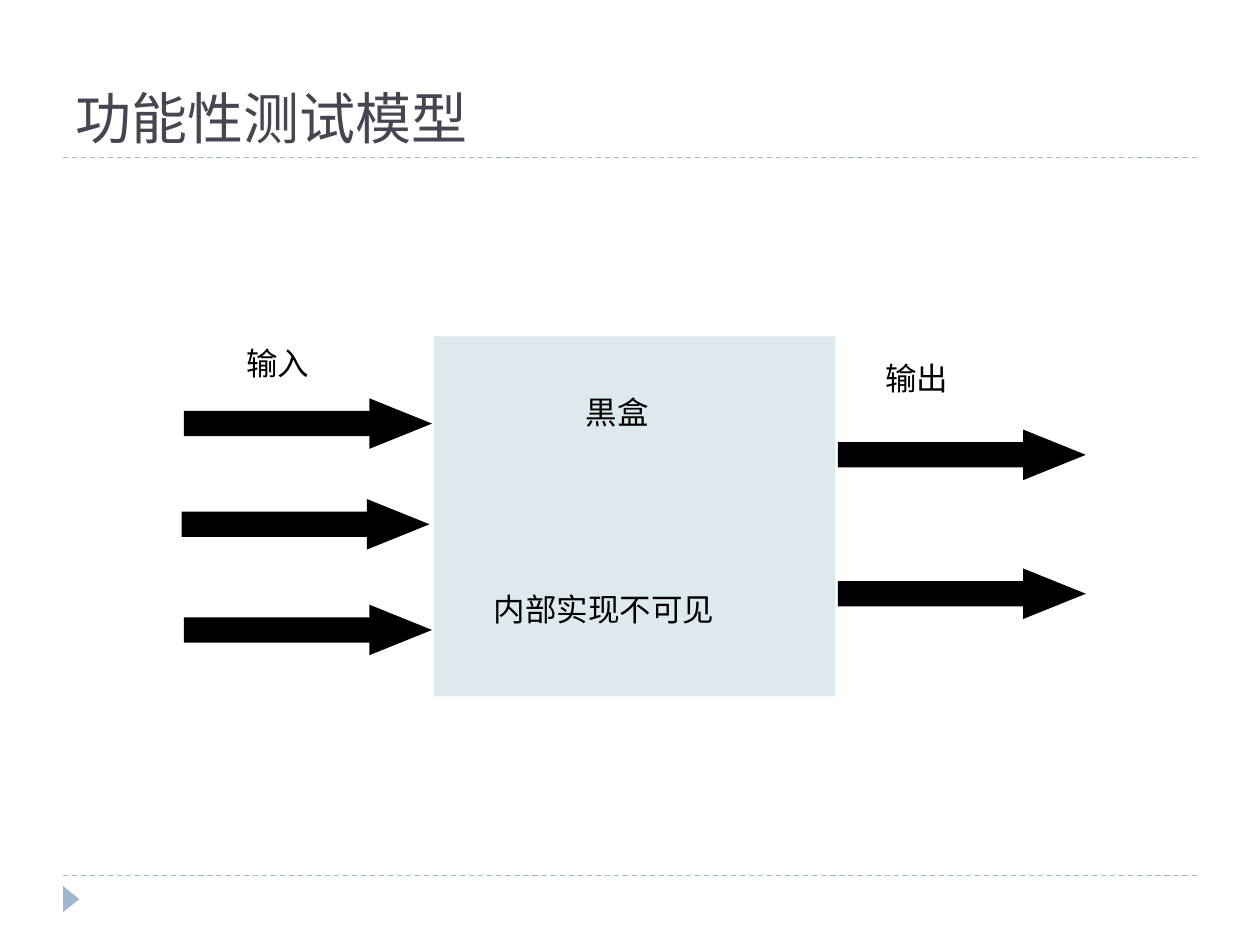
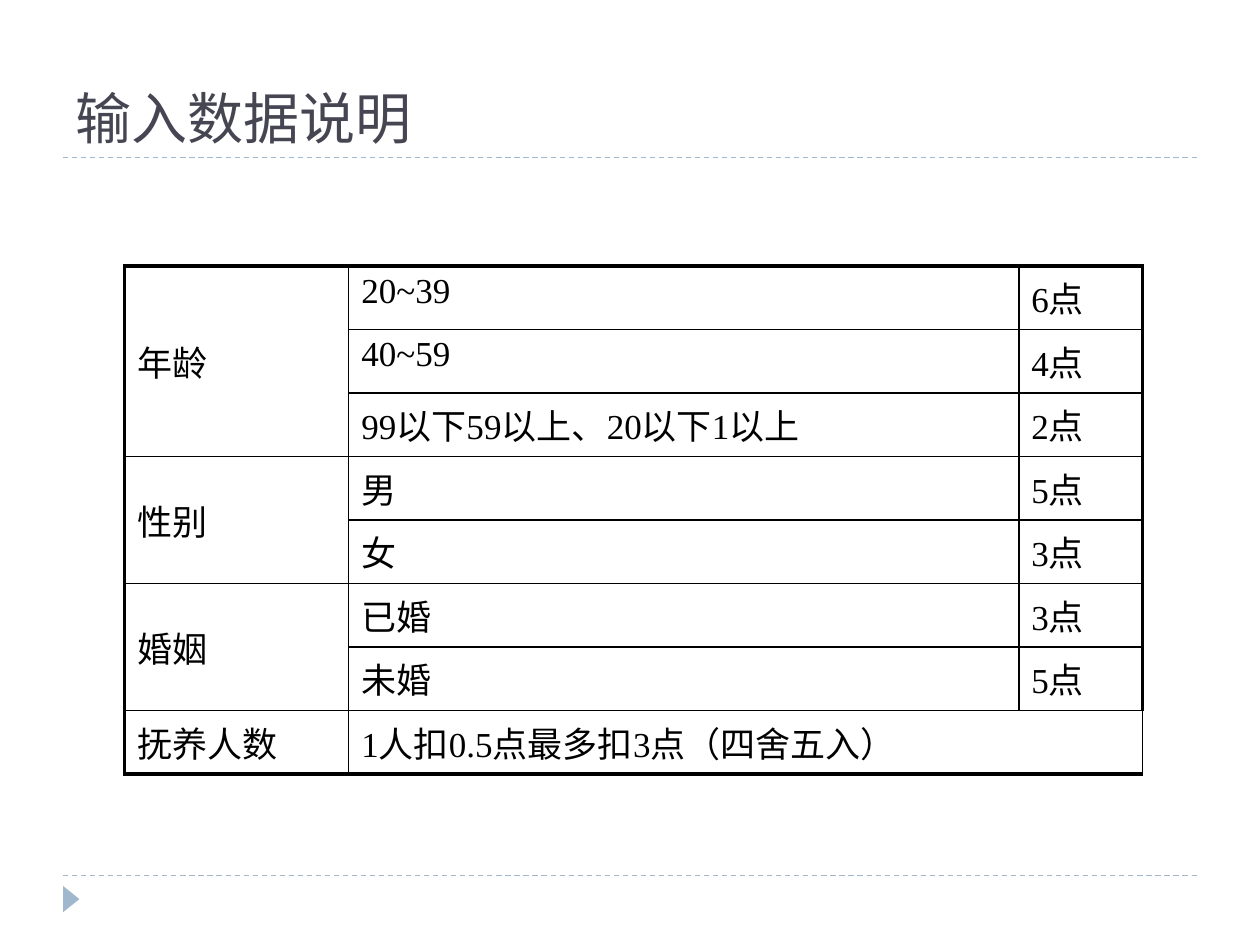
from dataclasses import dataclass
from typing import NamedTuple

from lxml import etree
from pptx import Presentation
from pptx.dml.color import RGBColor
from pptx.enum.dml import MSO_LINE
from pptx.enum.shapes import MSO_CONNECTOR, MSO_SHAPE
from pptx.enum.text import MSO_ANCHOR, PP_ALIGN
from pptx.oxml.ns import qn
from pptx.shapes.autoshape import Shape
from pptx.slide import Slide
from pptx.table import _Cell
from pptx.text.text import TextFrame
from pptx.util import Cm, Pt

RECTANGLE = MSO_SHAPE.RECTANGLE
TRIANGLE = MSO_SHAPE.ISOSCELES_TRIANGLE
RIGHT_ARROW = MSO_SHAPE.RIGHT_ARROW
STRAIGHT = MSO_CONNECTOR.STRAIGHT
DASH = MSO_LINE.DASH
TOP, MIDDLE, BOTTOM = MSO_ANCHOR.TOP, MSO_ANCHOR.MIDDLE, MSO_ANCHOR.BOTTOM
LEFT, JUSTIFY = PP_ALIGN.LEFT, PP_ALIGN.JUSTIFY


class TextStyle(NamedTuple):
    font: str
    size: float
    color: str


@dataclass(frozen=True)
class Theme:
    accent: str = "9FB8CD"
    box: str = "DDE9EC"
    ink: str = "000000"
    title: TextStyle = TextStyle("TeX Gyre Bonum", 32, "464653")
    label: TextStyle = TextStyle("Cabin", 18, "000000")
    cell: TextStyle = TextStyle("Times New Roman", 20, "000000")
    rule_width: float = 0.75
    inner_border: float = 1
    outer_border: float = 2.25


THEME = Theme()


class Frame(NamedTuple):
    """Left, top, width and height in centimetres."""
    left: float
    top: float
    width: float
    height: float

    def lengths(self) -> list[Cm]:
        return [Cm(value) for value in self]


class Label(NamedTuple):
    text: str
    left: float
    top: float
    width: float = 2.39


class Arrow(NamedTuple):
    left: float
    top: float


class Section(NamedTuple):
    """An input field and its (condition, points) rows."""
    name: str
    rules: list[tuple[str, str]]


RULE_LEFT, RULE_RIGHT = 1.27, 24.13
RULE_TOPS = (3.18, 17.65)
FOOTER_MARK = Frame(1.17, 17.96, 0.53, 0.33)
TITLE_FRAME = Frame(1.27, 0.43, 22.86, 2.74)

BLACK_BOX = Frame(8.74, 6.78, 8.1, 7.26)
ARROW_WIDTH, ARROW_HEIGHT, LABEL_HEIGHT = 5, 1.02, 1.27
INPUT_ARROWS = [Arrow(3.71, 8.03), Arrow(3.66, 10.06), Arrow(3.71, 12.19)]
OUTPUT_ARROWS = [Arrow(16.89, 8.66), Arrow(16.89, 11.46)]
MODEL_LABELS = [
    Label("输入", 4.72, 6.81),
    Label("输出", 17.6, 7.11),
    Label("黒盒", 11.56, 7.8),
    Label("内部实现不可见", 9.7, 11.76, 6.45),
]

TABLE_LEFT, TABLE_TOP, ROW_HEIGHT = 2.51, 5.36, 1.28
COLUMN_WIDTHS = (4.52, 13.51, 2.49)
SECTIONS = [
    Section("年龄", [("20~39", "6点"), ("40~59", "4点"),
                   ("99以下59以上、20以下1以上", "2点")]),
    Section("性别", [("男", "5点"), ("女", "3点")]),
    Section("婚姻", [("已婚", "3点"), ("未婚", "5点")]),
    Section("抚养人数", [("1人扣0.5点最多扣3点（四舍五入）", "")]),
]


def write_text(text_frame: TextFrame, text: str, style: TextStyle,
               alignment: PP_ALIGN = LEFT) -> None:
    text_frame.text = text
    text_frame.word_wrap = True
    paragraph = text_frame.paragraphs[0]
    paragraph.alignment = alignment
    for run in paragraph.runs:
        run.font.name = style.font
        run.font.size = Pt(style.size)
        run.font.color.rgb = RGBColor.from_string(style.color)


def add_text(slide: Slide, frame: Frame, text: str, style: TextStyle,
             alignment: PP_ALIGN = LEFT, anchor: MSO_ANCHOR = TOP) -> None:
    text_box = slide.shapes.add_textbox(*frame.lengths())
    text_box.text_frame.vertical_anchor = anchor
    write_text(text_box.text_frame, text, style, alignment)


def add_filled(slide: Slide, kind: MSO_SHAPE, frame: Frame, color: str) -> Shape:
    shape = slide.shapes.add_shape(kind, *frame.lengths())
    shape.shadow.inherit = False
    shape.fill.solid()
    shape.fill.fore_color.rgb = RGBColor.from_string(color)
    shape.line.fill.background()
    return shape


def add_rule(slide: Slide, top: float) -> None:
    rule = slide.shapes.add_connector(
        STRAIGHT, Cm(RULE_LEFT), Cm(top), Cm(RULE_RIGHT), Cm(top))
    rule.line.color.rgb = RGBColor.from_string(THEME.accent)
    rule.line.width = Pt(THEME.rule_width)
    rule.line.dash_style = DASH
    etree.SubElement(rule._element.spPr, qn("a:effectLst"))


def add_titled_slide(presentation: Presentation, title: str) -> Slide:
    """Add a slide with the shared rules, footer mark and title."""
    slide = presentation.slides.add_slide(presentation.slide_layouts[6])
    for top in RULE_TOPS:
        add_rule(slide, top)
    add_filled(slide, TRIANGLE, FOOTER_MARK, THEME.accent).rotation = 90
    add_text(slide, TITLE_FRAME, title, THEME.title, anchor=BOTTOM)
    return slide


def add_arrow(slide: Slide, arrow: Arrow) -> None:
    frame = Frame(arrow.left, arrow.top, ARROW_WIDTH, ARROW_HEIGHT)
    shape = add_filled(slide, RIGHT_ARROW, frame, THEME.ink)
    shape.adjustments[0] = 0.5
    shape.adjustments[1] = 1.24


def set_borders(cell: _Cell, outer_edges: dict[str, bool]) -> None:
    """Draw each named edge, thicker where it lies on the table's outside."""
    properties = cell._tc.get_or_add_tcPr()
    for position, (edge, is_outer) in enumerate(outer_edges.items()):
        width = THEME.outer_border if is_outer else THEME.inner_border
        line = etree.Element(qn(f"a:ln{edge}"), w=str(Pt(width)))
        fill = etree.SubElement(line, qn("a:solidFill"))
        etree.SubElement(fill, qn("a:srgbClr"), val=THEME.ink)
        properties.insert(position, line)


def add_score_table(slide: Slide, sections: list[Section]) -> None:
    row_count = sum(len(section.rules) for section in sections)
    column_count = len(COLUMN_WIDTHS)
    frame = Frame(TABLE_LEFT, TABLE_TOP, sum(COLUMN_WIDTHS), ROW_HEIGHT * row_count)
    table = slide.shapes.add_table(row_count, column_count, *frame.lengths()).table
    table.first_row = table.horz_banding = False
    for column, width in zip(table.columns, COLUMN_WIDTHS):
        column.width = Cm(width)
    for row_index, row in enumerate(table.rows):
        row.height = Cm(ROW_HEIGHT)
        for column_index, cell in enumerate(row.cells):
            cell.fill.background()
            set_borders(cell, {
                "L": column_index == 0,
                "R": column_index == column_count - 1,
                "T": row_index == 0,
                "B": row_index == row_count - 1,
            })

    first_row = 0
    for section in sections:
        name_cell = table.cell(first_row, 0)
        write_text(name_cell.text_frame, section.name, THEME.cell)
        name_cell.vertical_anchor = MIDDLE
        last_row = first_row + len(section.rules) - 1
        if last_row > first_row:
            name_cell.merge(table.cell(last_row, 0))
        for row_index, (condition, points) in enumerate(section.rules, first_row):
            condition_cell = table.cell(row_index, 1)
            points_cell = table.cell(row_index, 2)
            write_text(condition_cell.text_frame, condition, THEME.cell)
            if points:
                write_text(points_cell.text_frame, points, THEME.cell)
            else:
                condition_cell.merge(points_cell)
        first_row = last_row + 1


def build_model_slide(presentation: Presentation) -> None:
    slide = add_titled_slide(presentation, "功能性测试模型")
    add_filled(slide, RECTANGLE, BLACK_BOX, THEME.box)
    for arrow in INPUT_ARROWS + OUTPUT_ARROWS:
        add_arrow(slide, arrow)
    for label in MODEL_LABELS:
        frame = Frame(label.left, label.top, label.width, LABEL_HEIGHT)
        add_text(slide, frame, label.text, THEME.label, JUSTIFY)


def build_input_slide(presentation: Presentation) -> None:
    slide = add_titled_slide(presentation, "输入数据说明")
    add_score_table(slide, SECTIONS)


def main() -> None:
    presentation = Presentation()
    presentation.slide_width = Cm(25.4)
    presentation.slide_height = Cm(19.05)
    build_model_slide(presentation)
    build_input_slide(presentation)
    presentation.save("out.pptx")


if __name__ == "__main__":
    main()
